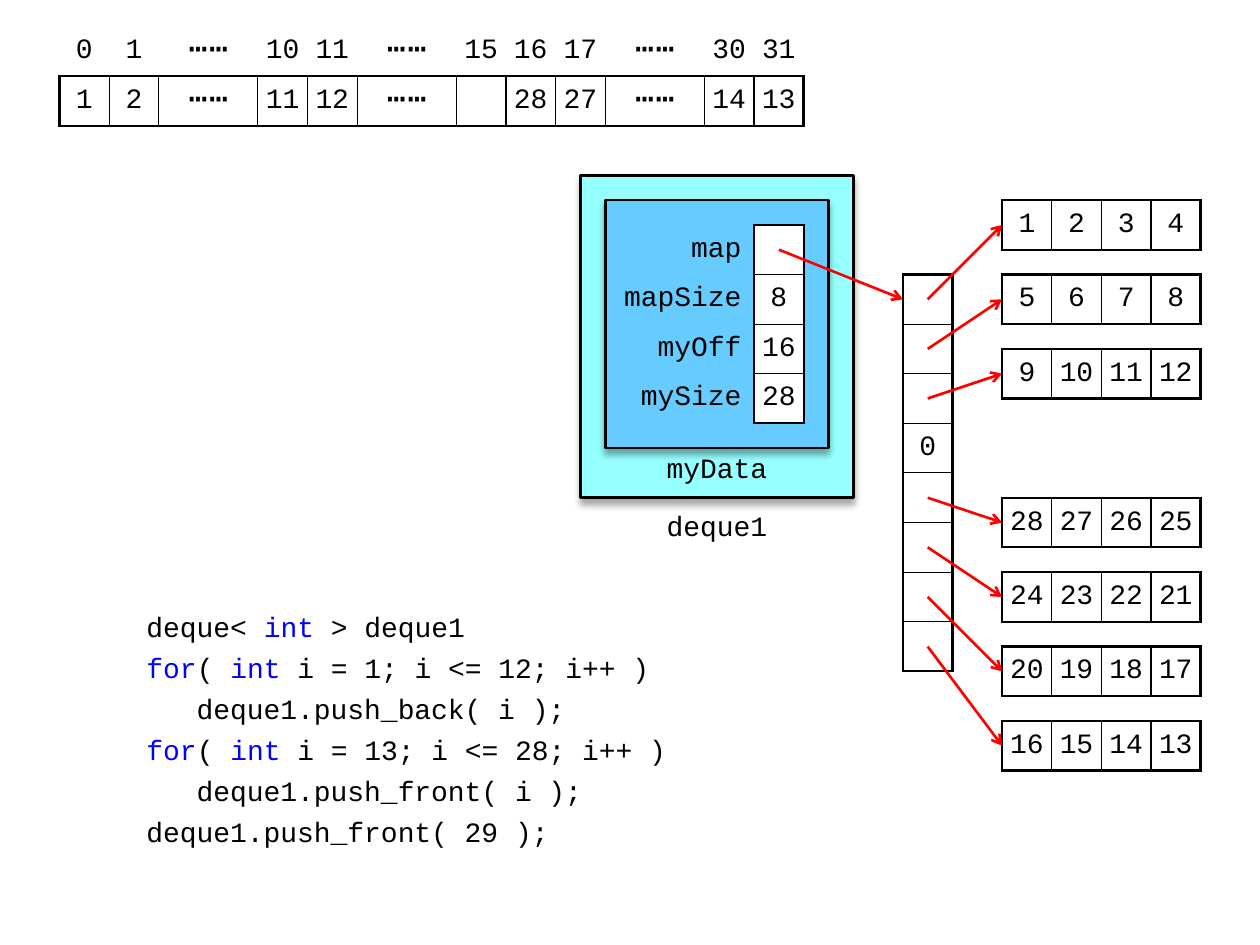
from dataclasses import dataclass

from lxml.etree import SubElement
from pptx import Presentation
from pptx.dml.color import RGBColor
from pptx.enum.shapes import MSO_CONNECTOR, MSO_SHAPE
from pptx.enum.text import MSO_ANCHOR, PP_ALIGN
from pptx.oxml.ns import qn
from pptx.util import Pt


@dataclass(frozen=True)
class Theme:
    font: str = "Courier New"
    black: str = "000000"
    white: str = "FFFFFF"
    keyword: str = "0000FF"
    arrow: str = "FF0000"
    deque: str = "96FFFF"
    data: str = "66CCFF"
    text_size: float = 16
    dots_size: float = 18
    thick: float = 1.5
    thin: float = 0.75


THEME = Theme()
UNIT = 28.35  # side of one memory cell, in points
LEFT, TOP = 34, 15.1  # origin of the cell grid
DOTS = "⋯⋯"
NO_STYLE = "{2D5ABB26-0587-4C30-8999-92F81FD0307C}"

INDICES = ["0", "1", DOTS, "10", "11", DOTS, "15", "16", "17", DOTS, "30", "31"]
VALUES = ["1", "2", DOTS, "11", "12", DOTS, "", "28", "27", DOTS, "14", "13"]
MEMBERS = [["map", ""], ["mapSize", "8"], ["myOff", "16"], ["mySize", "28"]]
NODES = [
    ["1", "2", "3", "4"], ["5", "6", "7", "8"], ["9", "10", "11", "12"], None,
    ["28", "27", "26", "25"], ["24", "23", "22", "21"],
    ["20", "19", "18", "17"], ["16", "15", "14", "13"],
]
CODE = [
    [("deque< ", False), ("int", True), (" > deque1", False)],
    [("for", True), ("( ", False), ("int", True), (" i = 1; i <= 12; i++ )", False)],
    [("   deque1.push_back( i );", False)],
    [("for", True), ("( ", False), ("int", True), (" i = 13; i <= 28; i++ )", False)],
    [("   deque1.push_front( i );", False)],
    [("deque1.push_front( 29 );", False)],
]


def grid_x(column):
    return Pt(round(LEFT + UNIT * column, 2))


def grid_y(row):
    return Pt(round(TOP + UNIT * row, 2))


def span(cells):
    return Pt(round(UNIT * cells, 2))


def add_run(paragraph, text, color=THEME.black, size=THEME.text_size):
    run = paragraph.add_run()
    run.text = text
    run.font.name = THEME.font
    run.font.size = Pt(size)
    run.font.color.rgb = RGBColor.from_string(color)
    return run


def set_border(cell, side, width):
    line = SubElement(cell._tc.get_or_add_tcPr(), qn(f"a:ln{side}"), w=str(Pt(width)))
    fill = SubElement(line, qn("a:solidFill"))
    SubElement(fill, qn("a:srgbClr"), val=THEME.black)


def fill_cell(cell, text, align, side_inset):
    cell.vertical_anchor = MSO_ANCHOR.MIDDLE
    cell.margin_left = cell.margin_right = Pt(side_inset)
    cell.margin_top = cell.margin_bottom = Pt(2.88)
    paragraph = cell.text_frame.paragraphs[0]
    paragraph.alignment = align
    if text == DOTS:
        first = add_run(paragraph, text[0], size=THEME.dots_size)
        first._r.get_or_add_rPr().set("spc", "100")
        add_run(paragraph, text[1], size=THEME.dots_size)
    elif text:
        add_run(paragraph, text)


def add_cells(slide, column, row, texts, widths, frame_row=0, frame_column=0):
    """Add a table; the cells from the frame row and column on are boxed."""
    rows, columns = len(texts), len(widths)
    table_shape = slide.shapes.add_table(
        rows, columns, grid_x(column), grid_y(row), span(sum(widths)), span(rows))
    table = table_shape.table
    table.first_row = table.horz_banding = False
    table._tbl.tblPr.find(qn("a:tableStyleId")).text = NO_STYLE
    for index, width in enumerate(widths):
        table.columns[index].width = span(width)
    for r, line in enumerate(texts):
        table.rows[r].height = span(1)
        for c, text in enumerate(line):
            cell = table.cell(r, c)
            label = c < frame_column
            fill_cell(cell, text, PP_ALIGN.RIGHT if label else PP_ALIGN.CENTER,
                      7.2 if label else 2.88)
            if r < frame_row or label:
                cell.fill.background()
                continue
            outer = {"L": c == frame_column, "R": c == columns - 1,
                     "T": r == frame_row, "B": r == rows - 1}
            for side, on_frame in outer.items():
                set_border(cell, side, THEME.thick if on_frame else THEME.thin)
            cell.fill.solid()
            cell.fill.fore_color.rgb = RGBColor.from_string(THEME.white)


def add_arrow(slide, start, end):
    arrow = slide.shapes.add_connector(
        MSO_CONNECTOR.STRAIGHT, grid_x(start[0]), grid_y(start[1]),
        grid_x(end[0]), grid_y(end[1]))
    arrow.line.color.rgb = RGBColor.from_string(THEME.arrow)
    arrow.line.width = Pt(THEME.thick)
    SubElement(arrow.line._get_or_add_ln(), qn("a:tailEnd"), type="arrow")
    SubElement(arrow._element.spPr, qn("a:effectLst"))


def add_panel(slide, column, row, width, height, color):
    panel = slide.shapes.add_shape(
        MSO_SHAPE.FLOWCHART_PROCESS, grid_x(column), grid_y(row), span(width), span(height))
    panel.fill.solid()
    panel.fill.fore_color.rgb = RGBColor.from_string(color)
    panel.line.color.rgb = RGBColor.from_string(THEME.black)
    panel.line.width = Pt(THEME.thick)
    effects = SubElement(panel._element.spPr, qn("a:effectLst"))
    shadow = SubElement(effects, qn("a:outerShdw"), blurRad=str(Pt(4)), dist=str(Pt(3)),
                        dir="5400000", rotWithShape="0")
    shade = SubElement(shadow, qn("a:srgbClr"), val=THEME.black)
    SubElement(shade, qn("a:alpha"), val="35000")


def add_label(slide, column, row, width, text, anchor, top_inset):
    box = slide.shapes.add_textbox(grid_x(column), grid_y(row), span(width), span(1))
    frame = box.text_frame
    frame.word_wrap = True
    frame.vertical_anchor = anchor
    frame.margin_left = frame.margin_right = Pt(5.76)
    frame.margin_top, frame.margin_bottom = Pt(top_inset), Pt(0)
    frame.paragraphs[0].alignment = PP_ALIGN.CENTER
    add_run(frame.paragraphs[0], text)


def write_code(body):
    body.left, body.top, body.width, body.height = Pt(76.5), Pt(340.8), Pt(312), Pt(170)
    frame = body.text_frame
    frame.margin_top = Pt(6.6)
    for index, line in enumerate(CODE):
        paragraph = frame.add_paragraph() if index else frame.paragraphs[0]
        properties = paragraph._p.get_or_add_pPr()
        properties.set("marL", "0")
        properties.set("indent", "0")
        SubElement(properties, qn("a:buNone"))
        paragraph.line_spacing = 1.06
        paragraph.space_before = Pt(3 if index else 0)
        for text, is_keyword in line:
            add_run(paragraph, text, THEME.keyword if is_keyword else THEME.black)


def main():
    presentation = Presentation()
    presentation.slide_width, presentation.slide_height = Pt(720), Pt(540)
    slide = presentation.slides.add_slide(presentation.slide_layouts[1])
    title = slide.shapes.title._element
    title.getparent().remove(title)

    # Code listing
    write_code(slide.placeholders[1])

    # Logical view of the ring of elements
    widths = [2 if text == DOTS else 1 for text in INDICES]
    add_cells(slide, 0, 0, [INDICES, VALUES], widths, frame_row=1)

    # Deque object and its members
    add_panel(slide, 10.5, 3, 5.5, 6.5, THEME.deque)
    add_panel(slide, 11, 3.5, 4.5, 5, THEME.data)
    add_label(slide, 11.5, 9.5, 3.5, "deque1", MSO_ANCHOR.MIDDLE, 2.88)
    add_label(slide, 12, 8.5, 2.5, "myData", MSO_ANCHOR.TOP, 1.44)
    add_cells(slide, 11, 4, MEMBERS, [3, 1], frame_column=1)

    # Map of pointers and the blocks they lead to
    add_cells(slide, 17, 5, [["" if node else "0"] for node in NODES], [1])
    add_arrow(slide, (14.5, 4.5), (17, 5.5))
    for index, node in enumerate(NODES):
        if node:
            top = 3.5 + 1.5 * index
            add_cells(slide, 19, top, [node], [1] * len(node))
            add_arrow(slide, (17.5, 5.5 + index), (19, top + 0.5))

    presentation.save("out.pptx")


if __name__ == "__main__":
    main()
